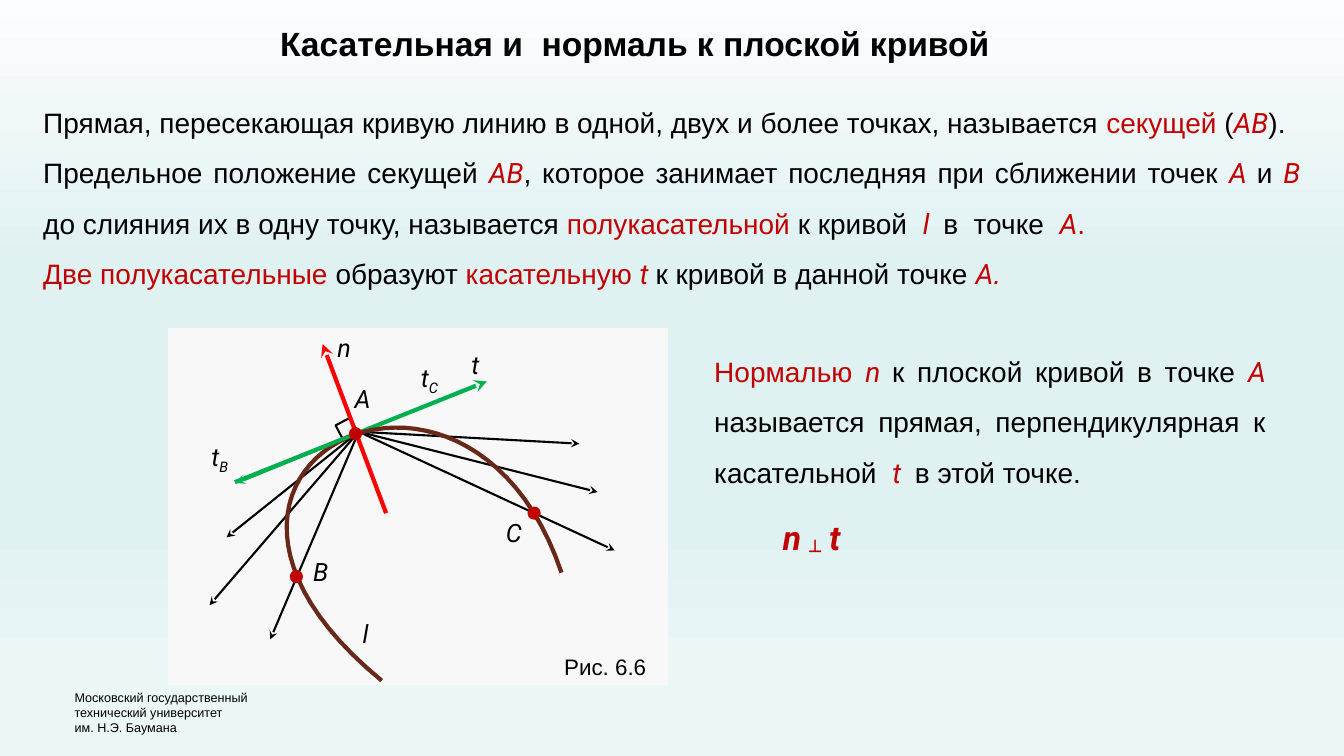
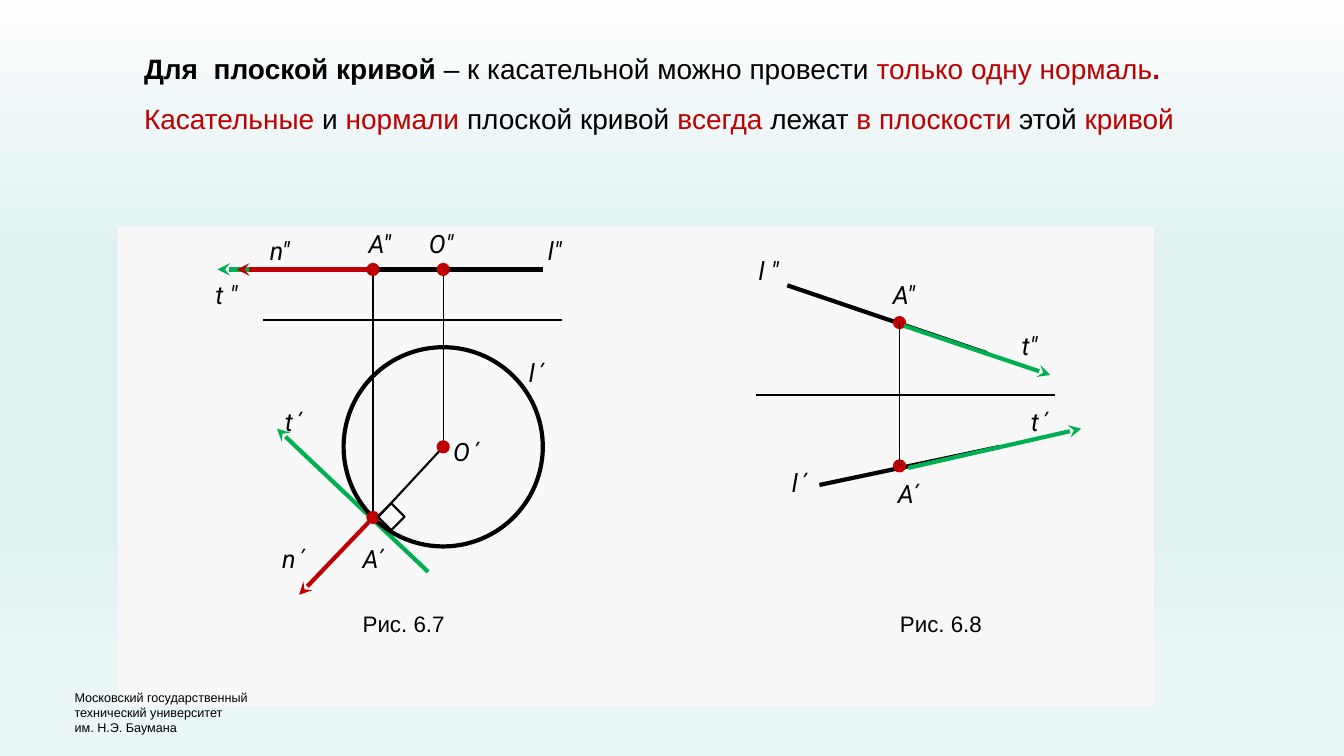
from dataclasses import dataclass
from typing import Any

from lxml import etree
from pptx import Presentation
from pptx import util as u
from pptx.dml.color import RGBColor
from pptx.enum import shapes, text
from pptx.oxml.ns import qn

BLACK = RGBColor(0x00, 0x00, 0x00)
CRIMSON = RGBColor(0xC0, 0x00, 0x00)
RED = RGBColor(0xFF, 0x00, 0x00)
GREEN = RGBColor(0x00, 0xB0, 0x50)
BROWN = RGBColor(0x68, 0x29, 0x1A)
PANEL = RGBColor(0xF8, 0xF8, 0xF8)
BACKGROUND = [(0, "FCFDFE"), (35, "E0F1F2"), (69, "E0F1F2"),
              (88, "EBF6F7"), (100, "EBF6F7")]

SANS, ITALIC = "Arial", "Roboto"
PLAIN = dict(font=SANS, color=BLACK)
BOLD = dict(PLAIN, bold=True)
TERM = dict(font=SANS, color=CRIMSON)
SYMBOL = dict(font=ITALIC, color=CRIMSON, italic=True)
MARK = dict(SYMBOL, color=BLACK)
FORMULA = dict(SYMBOL, bold=True)
JUSTIFY = text.PP_ALIGN.JUSTIFY


def add_run(p, words, size, font, color, bold=False, italic=False, **attrs):
    r = p.add_run()
    r.text = words
    f = r.font
    f.size, f.name, f.bold, f.italic = u.Pt(size), font, bold, italic
    f.color.rgb = color
    for name, value in attrs.items():
        r._r.get_or_add_rPr().set(name, str(value))


@dataclass
class Region:
    slide: Any
    x: float = 0
    y: float = 0

    def at(self, x, y):
        return u.Cm(self.x + x), u.Cm(self.y + y)

    def shape(self, kind, x, y, w, h, fill=None, line=None, width=0, turn=0):
        sp = self.slide.shapes.add_shape(kind, *self.at(x, y), u.Cm(w), u.Cm(h))
        sp.shadow.inherit = False
        sp.rotation = turn
        for paint, color in ((sp.fill, fill), (sp.line.fill, line)):
            if color is None:
                paint.background()
            else:
                paint.solid()
                paint.fore_color.rgb = color
        if line is not None:
            sp.line.width = u.Pt(width)
        return sp

    def panel(self, w, h):
        self.shape(shapes.MSO_SHAPE.RECTANGLE, 0, 0, w, h, PANEL)

    def right_angle(self, x, y, side, turn):
        self.shape(shapes.MSO_SHAPE.RECTANGLE, x, y, side, side,
                   line=BLACK, width=1.5, turn=turn)

    def circle(self, center, radius, **style):
        x, y = center
        self.shape(shapes.MSO_SHAPE.OVAL, x - radius, y - radius,
                   2 * radius, 2 * radius, **style)

    def dots(self, *points):
        for point in points:
            self.circle(point, 0.13, fill=CRIMSON, line=CRIMSON, width=2)

    def line(self, start, end, color=BLACK, width=1.5, arrow=False):
        c = self.slide.shapes.add_connector(
            shapes.MSO_CONNECTOR.STRAIGHT, *self.at(*start), *self.at(*end))
        c.line.color.rgb = color
        c.line.width = u.Pt(width)
        if arrow:
            ln = c.line._get_or_add_ln()
            etree.SubElement(ln, qn("a:tailEnd"), type="stealth")
        etree.SubElement(c._element.spPr, qn("a:effectLst"))

    def curve(self, a, b, c, d, color, width, steps=48):
        points = []
        for i in range(steps + 1):
            t = i / steps
            s = 1 - t
            points.append(self.at(*(
                s**3 * k + 3 * s * s * t * m + 3 * s * t * t * n + t**3 * q
                for k, m, n, q in zip(a, b, c, d))))
        builder = self.slide.shapes.build_freeform(*points[0])
        builder.add_line_segments(points[1:], close=False)
        sp = builder.convert_to_shape()
        sp.shadow.inherit = False
        sp.fill.background()
        sp.line.color.rgb = color
        sp.line.width = u.Pt(width)

    def text(self, x, y, w, h, paragraphs, size, wrap=False, align=None,
             spacing=None):
        tb = self.slide.shapes.add_textbox(*self.at(x, y), u.Cm(w), u.Cm(h))
        tf = tb.text_frame
        tf.word_wrap = wrap
        tf.auto_size = text.MSO_AUTO_SIZE.SHAPE_TO_FIT_TEXT
        for i, runs in enumerate(paragraphs):
            p = tf.add_paragraph() if i else tf.paragraphs[0]
            p.alignment = align
            p.line_spacing = spacing
            for words, style in runs:
                add_run(p, words, size, **style)

    def body(self, x, y, w, h, paragraphs, align=None):
        self.text(x, y, w, h, paragraphs, 20, True, align, 1.5)

    def label(self, words, x, y, w, sub="", spc=0):
        runs = [(words, dict(MARK, spc=spc))]
        if sub:
            runs.append((sub, dict(MARK, baseline=-25000)))
        self.text(x, y, w, 1.03, [runs], 18)

    def caption(self, words, x, y):
        self.text(x, y, 2.67, 0.94, [[(words, PLAIN)]], 16)


def set_background(master):
    fill = master.background.fill
    fill.gradient()
    fill.gradient_angle = 270
    stops = master.element.find(".//" + qn("p:bg")).find(".//" + qn("a:gsLst"))
    for stop in list(stops):
        stops.remove(stop)
    for percent, color in BACKGROUND:
        stop = etree.SubElement(stops, qn("a:gs"), pos=str(percent * 1000))
        etree.SubElement(stop, qn("a:srgbClr"), val=color)


def add_footer(page):
    lines = ("Московский государственный", "технический университет",
             "им. Н.Э. Баумана")
    page.text(1.63, 17.25, 5.03, 1.4, [[(s, PLAIN)] for s in lines], 9)


def draw_secants(fig):
    fig.panel(12.6, 9)
    a, b, c = (4.72, 2.67), (3.23, 6.27), (9.22, 4.67)
    fig.right_angle(4.29, 2.34, 0.41, 332)
    for end in ((1.04, 6.99), (10.36, 2.92), (10.82, 4.14), (11.25, 5.61),
                (1.47, 5.28), (2.57, 7.85)):
        fig.line((4.8, 2.62), end, arrow=True)
    fig.line((1.68, 3.89), (8.03, 1.35), GREEN, 3, True)
    fig.line((5.49, 4.67), (3.89, 0.41), RED, 3, True)
    fig.curve((5.38, 8.89), (-1.17, 3.53), (7.54, -0.89), (9.91, 6.17),
              BROWN, 3)
    fig.line((4.62, 2.72), (1.7, 3.91), GREEN, 2.25, True)
    fig.dots(a, b, c)
    for words, x, y, w, sub in (
            ("A", 4.45, 1.27, 0.94, ""), ("B", 3.4, 5.64, 0.89, ""),
            ("C", 8.26, 4.65, 0.84, ""), ("n", 4.01, 0, 0.84, ""),
            ("t", 0.84, 2.74, 1.04, "B"), ("t", 6.12, 0.74, 1.02, "C"),
            ("l", 4.65, 7.19, 0.71, ""), ("t", 7.39, 0.43, 0.79, "")):
        fig.label(words, x, y, w, sub)
    fig.caption("Рис. 6.6", 9.73, 8.08)


def draw_circle_views(fig):
    radius, front = 2.51, 1.07
    a2, o2, o1, a1 = (6.43, front), (8.2, front), (8.2, 5.54), (6.43, 7.32)
    fig.line(a2, (2.51, front), GREEN, 3, True)
    fig.line((7.82, 8.69), (4.01, 5.08), GREEN, 3, True)
    fig.circle(o1, radius, line=BLACK, width=3)
    fig.line((o2[0] - radius, front), (o2[0] + radius, front), width=3)
    fig.line(o1, (6.55, 7.32))
    fig.line(o2, o1, width=1)
    fig.line(a2, a1, width=1)
    fig.line((6.32, 7.44), (4.57, 9.27), CRIMSON, 3, True)
    fig.line(a2, (3, front), CRIMSON, 3, True)
    fig.dots(a2, o2, o1, a1)
    fig.line((11.2, 2.34), (3.66, 2.34))
    fig.right_angle(6.65, 7.06, 0.48, 315)
    for words, x, y, w, spc in (
            ('A"', 6.07, -0.1, 1.22, 0), ('O"', 7.59, -0.1, 1.17, 0),
            ('t "', 2.21, 1.19, 1.24, 0), ('n"', 3.58, 0.08, 1.14, 0),
            ('l"', 10.59, 0.08, 0.99, 0), ("nʹ", 3.89, 7.85, 1.19, 300),
            ("tʹ", 3.96, 4.39, 1.14, 300), ("Aʹ", 5.92, 7.85, 1.07, 0),
            ("Oʹ", 8.2, 5.16, 1.22, 300), ("lʹ", 10.11, 3.15, 1.04, 300)):
        fig.label(words, x, y, w, spc=spc)
    fig.caption("Рис. 6.7", 5.92, 9.53)


def draw_line_views(fig):
    a2, a1 = (3.62, 2.41), (3.62, 6.02)
    fig.line((0.79, 1.47), (5.82, 3.18), width=3)
    fig.line((1.6, 6.5), (6.15, 5.54), width=3)
    fig.dots(a2, a1)
    fig.line((3.84, 6.07), (8.2, 5.08), GREEN, 3, True)
    fig.line((3.73, 2.49), (7.42, 3.73), GREEN, 3, True)
    fig.line(a2, a1, width=1)
    fig.line((7.54, 4.24), (0, 4.24))
    for words, x, y, w, spc in (
            ('l "', -0.18, 0.58, 1.14, 0), ("lʹ", 0.66, 5.92, 1.04, 300),
            ("Aʹ", 3.33, 6.2, 1.09, 0), ('A"', 3.2, 1.19, 1.22, 0),
            ('t"', 6.45, 2.49, 1.09, 0), ("tʹ", 6.68, 4.39, 1.14, 300)):
        fig.label(words, x, y, w, spc=spc)
    fig.caption("Рис. 6.8", 3.38, 9.53)


def tangent_slide(slide):
    page = Region(slide)
    page.text(6.81, 0.46, 18.57, 1.3,
              [[("Касательная и  нормаль к плоской кривой", BOLD)]], 24)
    page.body(0.84, 2.11, 32.18, 5.38, [
        [("Прямая, пересекающая кривую линию в одной, двух и более точках, "
          "называется ", PLAIN), ("секущей ", TERM), ("(", PLAIN),
         ("AB", SYMBOL), (").", PLAIN)],
        [("Предельное положение секущей ", PLAIN), ("АВ", SYMBOL),
         (", которое занимает последняя при сближении точек ", PLAIN),
         ("А ", SYMBOL), ("и ", PLAIN), ("В ", SYMBOL),
         ("до слияния их в одну точку, называется ", PLAIN),
         ("полукасательной ", TERM), ("к кривой  ", PLAIN), ("l  ", SYMBOL),
         ("в  точке  ", PLAIN), ("A", SYMBOL), (".", TERM)],
        [("Две полукасательные ", TERM), ("образуют ", PLAIN),
         ("касательную ", TERM), ("t ", SYMBOL),
         ("к кривой в данной точке ", PLAIN), ("А", SYMBOL),
         (".", dict(TERM, italic=True))],
    ], JUSTIFY)
    page.body(17.75, 8.38, 14.4, 3.94, [
        [("Нормалью ", TERM), ("n ", SYMBOL),
         ("к плоской кривой в точке ", PLAIN), ("А ", SYMBOL),
         ("называется прямая, перпендикулярная к касательной  ", PLAIN),
         ("t  ", SYMBOL), ("в этой точке.", PLAIN)],
    ], JUSTIFY)
    page.text(19.48, 12.9, 2.18, 1.3, [
        [("n ", FORMULA), ("┴", dict(FORMULA, baseline=-25000)),
         (" t", FORMULA)]], 24)
    draw_secants(Region(slide, 4.24, 8.26))
    add_footer(page)


def normal_slide(slide):
    page = Region(slide)
    page.body(3.38, 0.74, 30, 2.84, [
        [("Для  плоской кривой ", BOLD),
         ("– к касательной можно провести ", PLAIN),
         ("только одну нормаль", TERM), (".", dict(TERM, bold=True))],
        [("Касательные", TERM), (" и ", PLAIN), ("нормали", TERM),
         (" плоской кривой ", PLAIN), ("всегда ", TERM), ("лежат ", PLAIN),
         ("в плоскости ", TERM), ("этой ", PLAIN), ("кривой", TERM)],
    ])
    views = Region(slide, 2.97, 5.72)
    views.panel(26.11, 12.07)
    draw_circle_views(views)
    draw_line_views(Region(slide, 19.05, views.y))
    add_footer(page)


def main():
    prs = Presentation()
    prs.slide_width, prs.slide_height = u.Cm(33.87), u.Cm(19.05)
    set_background(prs.slide_master)
    for build in (tangent_slide, normal_slide):
        build(prs.slides.add_slide(prs.slide_layouts[6]))
    prs.save("out.pptx")


if __name__ == "__main__":
    main()
